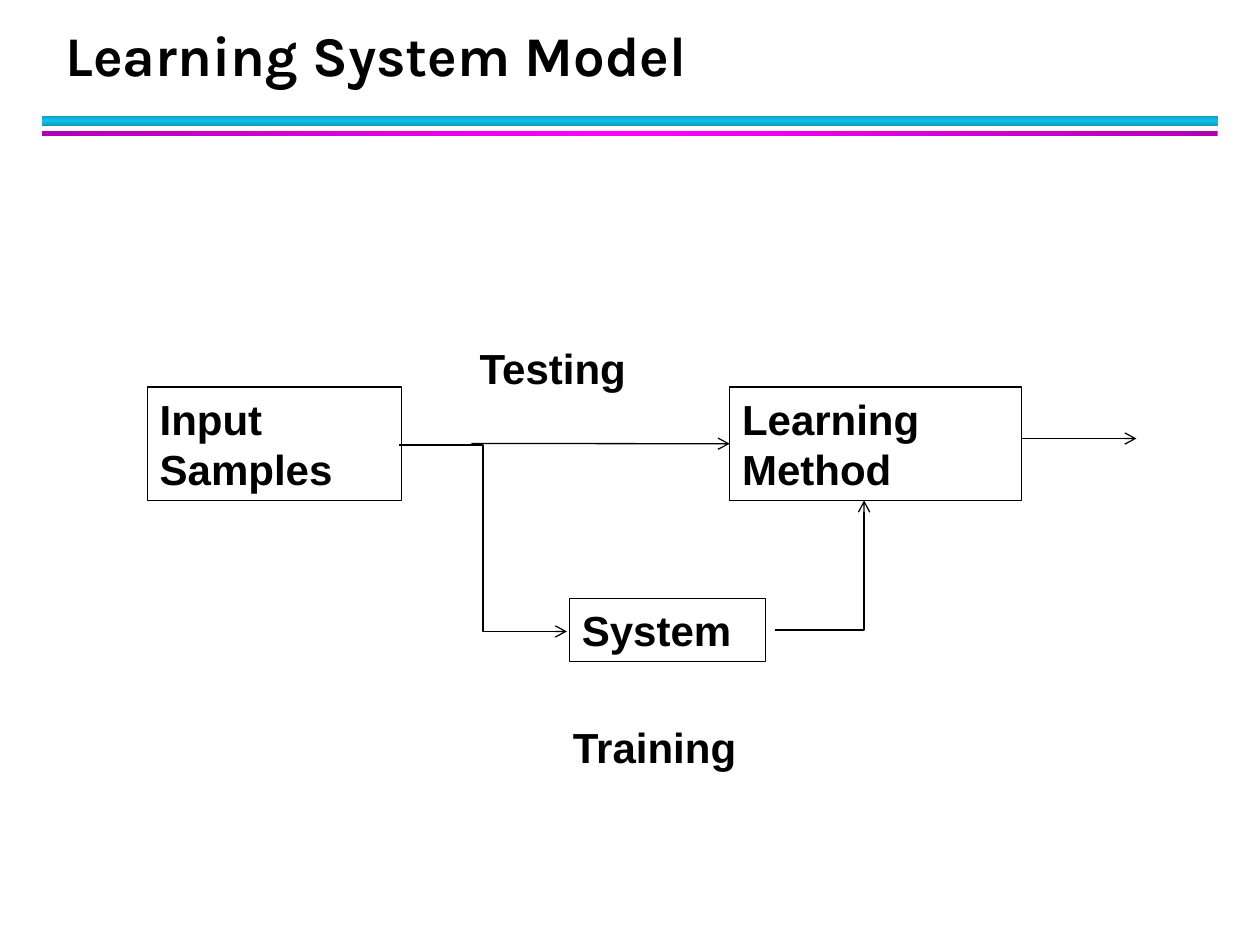
"""Build the Learning System Model slide: a block diagram of training and testing flow."""
from copy import deepcopy
from dataclasses import dataclass

from pptx import Presentation, util as u
from pptx.dml.color import RGBColor
from pptx.enum import shapes, text
from pptx.oxml import ns, xmlchemy


@dataclass(frozen=True)
class Theme:
    ink: str = "000000"
    paper: str = "FFFFFF"
    cyan: tuple = ("0E9BBA", "12C2E9", "0E9BBA")
    magenta: tuple = ("B200B2", "FF00FF", "B200B2")
    head_font: str = "Karla"
    body_font: str = "Arial"
    head_size: int = 32
    body_size: int = 24
    line: float = 0.75


T = Theme()


def put_text(sp, words, font=T.body_font, size=T.body_size, color=T.ink,
             anchor=text.MSO_ANCHOR.TOP, spacing=None):
    tf = sp.text_frame
    tf.word_wrap = True
    tf.vertical_anchor = anchor
    p = tf.paragraphs[0]
    p.alignment = text.PP_ALIGN.LEFT
    if spacing:
        p.line_spacing = u.Pt(spacing)
    r = p.add_run()
    r.text = words
    r.font.name = font
    r.font.size = u.Pt(size)
    r.font.bold = True
    r.font.color.rgb = RGBColor.from_string(color)


def add_arrow(s, kind, x1, y1, x2, y2):
    c = s.shapes.add_connector(kind, u.Cm(x1), u.Cm(y1), u.Cm(x2), u.Cm(y2))
    c.line.color.rgb = RGBColor.from_string(T.ink)
    c.line.width = u.Pt(T.line)
    head = xmlchemy.OxmlElement("a:tailEnd")
    head.set("type", "arrow")
    c.line._get_or_add_ln().append(head)
    c._element.spPr.append(xmlchemy.OxmlElement("a:effectLst"))
    return c


prs = Presentation()
prs.slide_width, prs.slide_height = u.Cm(25.4), u.Cm(19.05)
s = prs.slides.add_slide(prs.slide_layouts[6])
RECT = shapes.MSO_SHAPE.RECTANGLE

for top, height, colors, angle in [(2.33, 0.21, T.cyan, 90), (2.64, 0.1, T.magenta, 0)]:
    sp = s.shapes.add_shape(RECT, u.Cm(0.85), u.Cm(top), u.Cm(23.7), u.Cm(height))
    sp.shadow.inherit = False
    sp.line.fill.background()
    sp.fill.gradient()
    sp.fill.gradient_angle = angle
    stops = sp._element.spPr.find(".//" + ns.qn("a:gsLst"))
    stops.append(deepcopy(stops[0]))
    for i, (stop, color) in enumerate(zip(sp.fill.gradient_stops, colors)):
        stop.position = i / 2
        stop.color.rgb = RGBColor.from_string(color)

title = s.shapes.add_textbox(u.Cm(1.07), u.Cm(0.43), u.Cm(23.01), u.Cm(1.47))
put_text(title, "Learning System Model", font=T.head_font, size=T.head_size,
         anchor=text.MSO_ANCHOR.BOTTOM, spacing=36)

boxes = {}
for words, left, top, width, height in [
    ("Input Samples", 2.97, 7.8, 5.13, 2.29),
    ("Learning Method", 14.71, 7.8, 5.89, 2.29),
    ("System", 11.48, 12.07, 3.96, 1.27),
]:
    sp = s.shapes.add_shape(RECT, u.Cm(left), u.Cm(top), u.Cm(width), u.Cm(height))
    sp.shadow.inherit = False
    sp.fill.solid()
    sp.fill.fore_color.rgb = RGBColor.from_string(T.paper)
    sp.line.color.rgb = RGBColor.from_string(T.ink)
    sp.line.width = u.Pt(T.line)
    put_text(sp, words)
    boxes[words] = sp

STRAIGHT, ELBOW = shapes.MSO_CONNECTOR.STRAIGHT, shapes.MSO_CONNECTOR.ELBOW
add_arrow(s, ELBOW, 8.05, 8.97, 11.43, 12.73)
testing = add_arrow(s, STRAIGHT, 9.5, 8.94, 14.71, 8.94)
testing.end_connect(boxes["Learning Method"], 1)
add_arrow(s, STRAIGHT, 20.6, 8.84, 22.91, 8.84)
feedback = add_arrow(s, ELBOW, 15.62, 12.7, 17.42, 10.09)
feedback._element.spPr.find(ns.qn("a:prstGeom")).set("prst", "bentConnector2")

for words, left, top, width in [("Training", 11.3, 14.43, 4.8), ("Testing", 9.42, 6.78, 3.58)]:
    put_text(s.shapes.add_textbox(u.Cm(left), u.Cm(top), u.Cm(width), u.Cm(1.27)), words)

prs.save("out.pptx")
